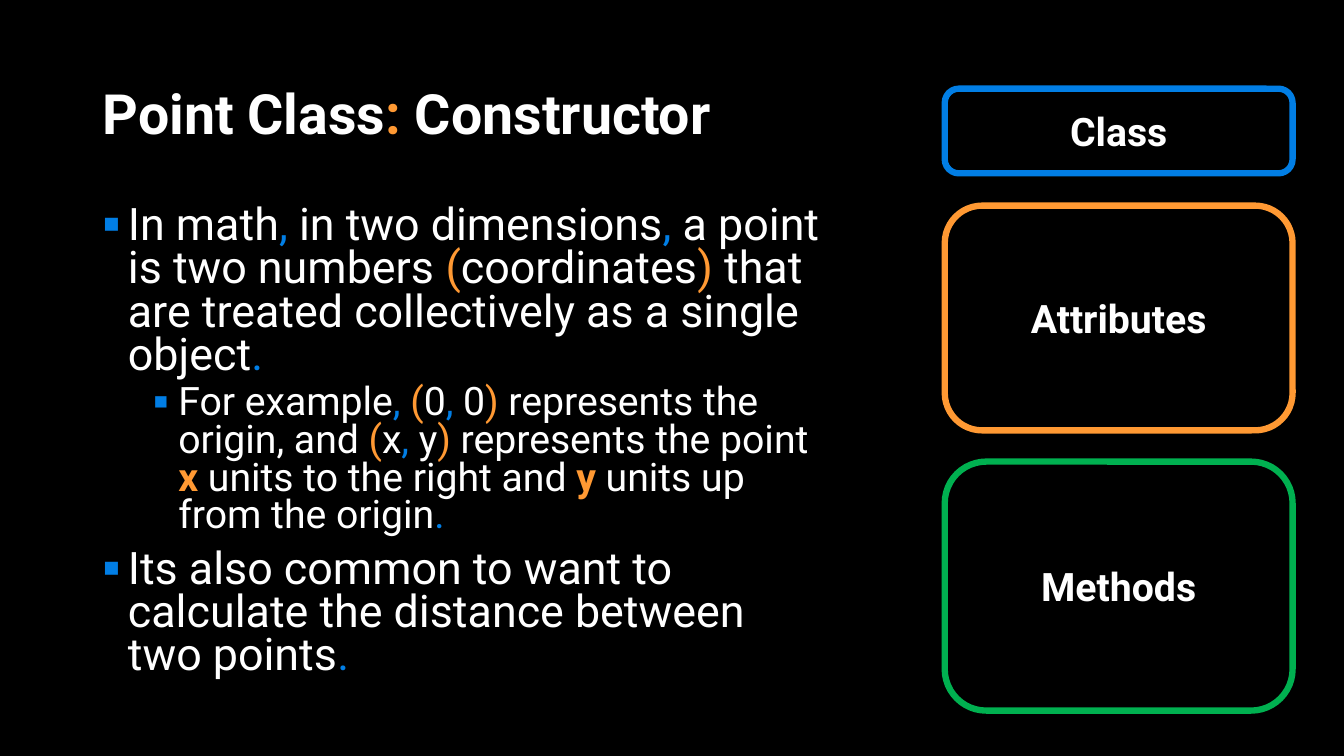
from lxml import etree
from pptx import Presentation
from pptx import util as u
from pptx.dml.color import RGBColor
from pptx.enum import shapes, text
from pptx.oxml import ns

BLACK = RGBColor(0x00, 0x00, 0x00)
WHITE = RGBColor(0xFF, 0xFF, 0xFF)
BLUE = RGBColor(0x01, 0x7E, 0xE5)
ORANGE = RGBColor(0xFF, 0x99, 0x33)
GREEN = RGBColor(0x00, 0xB0, 0x50)
FONT = "Roboto"
WIDTH, HEIGHT = 13.33, 7.5

TITLE = [("Point Class", WHITE), (":", ORANGE), (" Constructor", WHITE)]
BULLETS = [
    (0, [("In math", WHITE), (",", BLUE), (" in two dimensions", WHITE), (",", BLUE),
         (" a point is two numbers ", WHITE), ("(", ORANGE), ("coordinates", WHITE),
         (")", ORANGE), (" that are treated collectively as a single object", WHITE),
         (".", BLUE)]),
    (1, [("For example", WHITE), (", ", BLUE), ("(", ORANGE), ("0", WHITE), (",", BLUE),
         (" 0", WHITE), (")", ORANGE), (" represents the origin, and", WHITE),
         (" (", ORANGE), ("x", WHITE), (",", BLUE), (" y", WHITE), (")", ORANGE),
         (" represents the point ", WHITE), ("x", ORANGE, True),
         (" units to the right and ", WHITE), ("y", ORANGE, True),
         (" units up from the origin", WHITE), (".", BLUE)]),
    (0, [("Its also common to want to calculate the distance between two points", WHITE),
         (".", BLUE)]),
]
LEVELS = [(32, 10, 0.25), (28, 5, 0.75)]
HANGING = 0.25
PANELS = [("Class", BLUE, 0, 0.84), ("Attributes", ORANGE, 1.16, 2.23),
          ("Methods", GREEN, 3.7, 2.47)]


def style(para, size, bold=False):
    """Set the font that all runs of a paragraph share."""
    para.font.name = FONT
    para.font.size = u.Pt(size)
    para.font.bold = bold


def add_spans(para, spans):
    """Write coloured runs, some of them bold, into a paragraph."""
    for words, colour, *bold in spans:
        span = para.add_run()
        span.text = words
        span.font.color.rgb = colour
        if bold:
            span.font.bold = True


def add_bullet(para, indent):
    """Give a paragraph a blue square bullet and a hanging indent."""
    props = para._p.get_or_add_pPr()
    props.set("marL", str(u.Inches(indent)))
    props.set("indent", str(-u.Inches(HANGING)))
    colour = etree.SubElement(props, ns.qn("a:buClr"))
    etree.SubElement(colour, ns.qn("a:srgbClr")).set("val", str(BLUE))
    etree.SubElement(props, ns.qn("a:buFont")).set("typeface", FONT)
    etree.SubElement(props, ns.qn("a:buChar")).set("char", "▪")


def add_frame(page, box):
    """Add a wrapping text box and return its text frame."""
    frame = page.shapes.add_textbox(*map(u.Inches, box)).text_frame
    frame.word_wrap = True
    return frame


def add_title(page, box):
    """Place the bold heading in the middle of its box."""
    frame = add_frame(page, box)
    frame.vertical_anchor = text.MSO_ANCHOR.MIDDLE
    para = frame.paragraphs[0]
    para.line_spacing = 0.9
    style(para, 39.6, bold=True)
    add_spans(para, TITLE)


def add_body(page, box):
    """Fill the box with the two-level bullet list."""
    frame = add_frame(page, box)
    for index, (level, spans) in enumerate(BULLETS):
        para = frame.add_paragraph() if index else frame.paragraphs[0]
        size, space, indent = LEVELS[level]
        para.level = level
        add_bullet(para, indent)
        para.line_spacing = 0.8
        para.space_before = u.Pt(space)
        style(para, size)
        add_spans(para, spans)


def add_panels(page, box):
    """Stack the outlined class diagram panels down the box."""
    left, top, width = box
    for label, colour, offset, height in PANELS:
        panel = page.shapes.add_shape(
            shapes.MSO_SHAPE.ROUNDED_RECTANGLE,
            *map(u.Inches, (left, top + offset, width, height)))
        panel.shadow.inherit = False
        panel.fill.background()
        panel.line.color.rgb = colour
        panel.line.width = u.Pt(4.5)
        panel.text_frame.vertical_anchor = text.MSO_ANCHOR.MIDDLE
        para = panel.text_frame.paragraphs[0]
        para.alignment = text.PP_ALIGN.CENTER
        style(para, 28, bold=True)
        add_spans(para, [(label, WHITE)])


def main():
    """Build the slide and save it."""
    deck = Presentation()
    deck.slide_width, deck.slide_height = u.Inches(WIDTH), u.Inches(HEIGHT)
    page = deck.slides.add_slide(deck.slide_layouts[6])
    page.background.fill.solid()
    page.background.fill.fore_color.rgb = BLACK
    add_title(page, (0.92, 0.8, 11.5, 0.72))
    add_body(page, (0.92, 2, 7.31, 5.29))
    add_panels(page, (9.37, 0.88, 3.45))
    deck.save("out.pptx")


if __name__ == "__main__":
    main()
